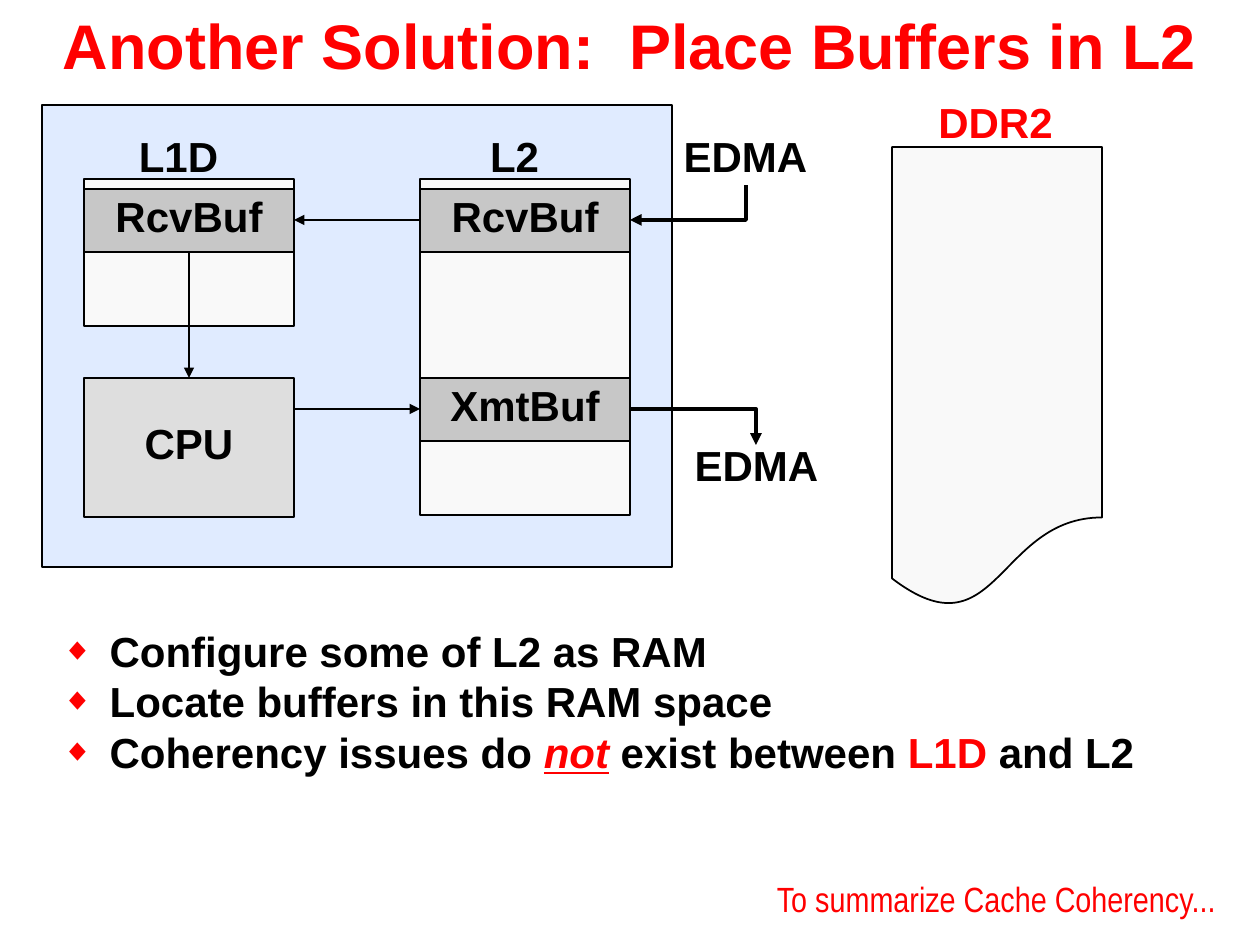
import pptx
import pptx.util
import pptx.dml.color
import pptx.enum.shapes
import pptx.enum.text
import pptx.oxml
import pptx.oxml.ns

PX = 914400 / 126
COLORS = {
    "black": "000000", "red": "FF0000", "panel": "E0EBFF",
    "memory": "F9F9F9", "buffer": "C7C7C7", "cpu": "DEDEDE",
}
SHAPE = pptx.enum.shapes.MSO_SHAPE
CONNECTOR = pptx.enum.shapes.MSO_CONNECTOR
ALIGN = pptx.enum.text.PP_ALIGN
ANCHOR = pptx.enum.text.MSO_ANCHOR
BLOCK_WIDTH, BUFFER_HEIGHT = 210, 63
L1D_LEFT, L2_LEFT, DDR2_LEFT = 84, 420, 892
RCV_TOP, XMT_TOP = 189, 378
LABEL_WIDTH = 147


def px(*lengths):
    return [pptx.util.Emu(round(length * PX)) for length in lengths]


def rgb(name):
    return pptx.dml.color.RGBColor.from_string(COLORS[name])


def add_xml(parent, tag, **attributes):
    child = pptx.oxml.parse_xml(f"<a:{tag} {pptx.oxml.ns.nsdecls('a')}/>")
    for key, value in attributes.items():
        child.set(key, value)
    parent.append(child)


def style_font(font, size, color="black", bold=True, face="Arial"):
    font.name, font.size, font.bold = face, pptx.util.Pt(size), bold
    font.color.rgb = rgb(color)


def write_line(frame, text, size=24, color="black", bold=True, face="Arial",
               align=ALIGN.CENTER, anchor=ANCHOR.MIDDLE):
    frame.text = text
    frame.word_wrap = False
    frame.vertical_anchor = anchor
    frame.margin_left = frame.margin_right = 0
    paragraph = frame.paragraphs[0]
    paragraph.alignment = align
    paragraph.line_spacing = 0.8
    style_font(paragraph.runs[0].font, size, color, bold, face)


def add_block(slide, box, fill, text="", kind=SHAPE.RECTANGLE):
    block = slide.shapes.add_shape(kind, *px(*box))
    block.shadow.inherit = False
    block.fill.solid()
    block.fill.fore_color.rgb = rgb(fill)
    block.line.color.rgb = rgb("black")
    block.line.width = pptx.util.Pt(1)
    if text:
        write_line(block.text_frame, text)


def add_label(slide, box, text, color="black"):
    label = slide.shapes.add_textbox(*px(*box))
    write_line(label.text_frame, text, color=color)


def add_arrow(slide, start, end, bent=False, arrow_at="tailEnd"):
    kind = CONNECTOR.ELBOW if bent else CONNECTOR.STRAIGHT
    arrow = slide.shapes.add_connector(kind, *px(*start, *end))
    arrow.line.color.rgb = rgb("black")
    arrow.line.width = pptx.util.Pt(2.25 if bent else 1)
    properties = arrow._element.spPr
    if bent:
        properties.find(pptx.oxml.ns.qn("a:prstGeom")).set("prst", "bentConnector2")
    add_xml(arrow.line._get_or_add_ln(), arrow_at, type="triangle")
    add_xml(properties, "effectLst")


def place(shape, box):
    shape.left, shape.top, shape.width, shape.height = px(*box)


def fill_title(title):
    place(title, (0, 0, 1260, 102))
    frame = title.text_frame
    frame.text = "Another Solution:  Place Buffers in L2"
    frame.vertical_anchor = ANCHOR.MIDDLE
    frame.margin_bottom = px(20)[0]
    style_font(frame.paragraphs[0].runs[0].font, 36, "red")


def add_bullet(paragraph, indent):
    properties = paragraph._p.get_or_add_pPr()
    properties.set("marL", str(indent))
    properties.set("indent", str(-indent))
    color = pptx.oxml.parse_xml(f"<a:buClr {pptx.oxml.ns.nsdecls('a')}/>")
    add_xml(color, "srgbClr", val=COLORS["red"])
    properties.append(color)
    add_xml(properties, "buSzPct", val="75000")
    add_xml(properties, "buFont", typeface="Arial")
    add_xml(properties, "buChar", char="◆")


def fill_points(body):
    points = [
        [("Configure some of L2 as RAM", "black")],
        [("Locate buffers in this RAM space", "black")],
        [("Coherency issues do ", "black"), ("not", "red"),
         (" exist between ", "black"), ("L1D", "red"), (" and L2", "black")],
    ]
    place(body, (49, 619, 1108, 165))
    frame = body.text_frame
    frame.auto_size = pptx.enum.text.MSO_AUTO_SIZE.NONE
    frame.word_wrap = False
    for index, parts in enumerate(points):
        paragraph = frame.add_paragraph() if index else frame.paragraphs[0]
        paragraph.space_before = pptx.util.Pt(0)
        add_bullet(paragraph, px(48)[0])
        for text, color in parts:
            run = paragraph.add_run()
            run.text = text
            style_font(run.font, 24, color)
            if text == "not":
                run.font.italic = run.font.underline = True


def draw_memory(slide):
    add_block(slide, (DDR2_LEFT, 147, BLOCK_WIDTH, 462), "memory",
              kind=SHAPE.FLOWCHART_DOCUMENT)
    add_block(slide, (42, 105, 630, 462), "panel")
    add_block(slide, (L2_LEFT, 179, BLOCK_WIDTH, 336), "memory")
    add_block(slide, (L1D_LEFT, XMT_TOP, BLOCK_WIDTH, 139), "cpu", "CPU")
    add_block(slide, (L1D_LEFT, 179, BLOCK_WIDTH, 147), "memory")
    for left, top, text in [(L1D_LEFT, RCV_TOP, "RcvBuf"),
                            (L2_LEFT, RCV_TOP, "RcvBuf"),
                            (L2_LEFT, XMT_TOP, "XmtBuf")]:
        add_block(slide, (left, top, BLOCK_WIDTH, BUFFER_HEIGHT), "buffer", text)
    for left, top, height, text, color in [
            (L1D_LEFT + 21, 126, 69, "L1D", "black"),
            (L2_LEFT + 21, 126, 69, "L2", "black"),
            (672, 136, 48, "EDMA", "black"),
            (683, 445, 48, "EDMA", "black"),
            (922, 92, 69, "DDR2", "red")]:
        add_label(slide, (left, top, LABEL_WIDTH, height), text, color)


def draw_flow(slide):
    rcv_middle = RCV_TOP + BUFFER_HEIGHT // 2
    xmt_middle = XMT_TOP + BUFFER_HEIGHT // 2
    l1d_right, l2_right = L1D_LEFT + BLOCK_WIDTH, L2_LEFT + BLOCK_WIDTH
    l1d_center = L1D_LEFT + BLOCK_WIDTH // 2
    add_arrow(slide, (l2_right, rcv_middle), (746, 185), True, "headEnd")
    add_arrow(slide, (L2_LEFT, rcv_middle), (l1d_right, rcv_middle))
    add_arrow(slide, (l1d_center, RCV_TOP + BUFFER_HEIGHT), (l1d_center, XMT_TOP))
    add_arrow(slide, (l1d_right, xmt_middle), (L2_LEFT, xmt_middle))
    add_arrow(slide, (l2_right, xmt_middle), (756, 445), True)


def add_next_topic(slide):
    frame = slide.shapes.add_textbox(*px(772, 885, 444, 34)).text_frame
    frame.margin_top = frame.margin_bottom = 0
    write_line(frame, "To summarize Cache Coherency...", 20, "red", False,
               "Arial Narrow", ALIGN.RIGHT, ANCHOR.BOTTOM)


def main():
    presentation = pptx.Presentation()
    presentation.slide_width, presentation.slide_height = px(1260, 945)
    slide = presentation.slides.add_slide(presentation.slide_layouts[1])
    fill_title(slide.shapes.title)
    draw_memory(slide)
    draw_flow(slide)
    fill_points(slide.placeholders[1])
    add_next_topic(slide)
    presentation.save("out.pptx")


if __name__ == "__main__":
    main()
